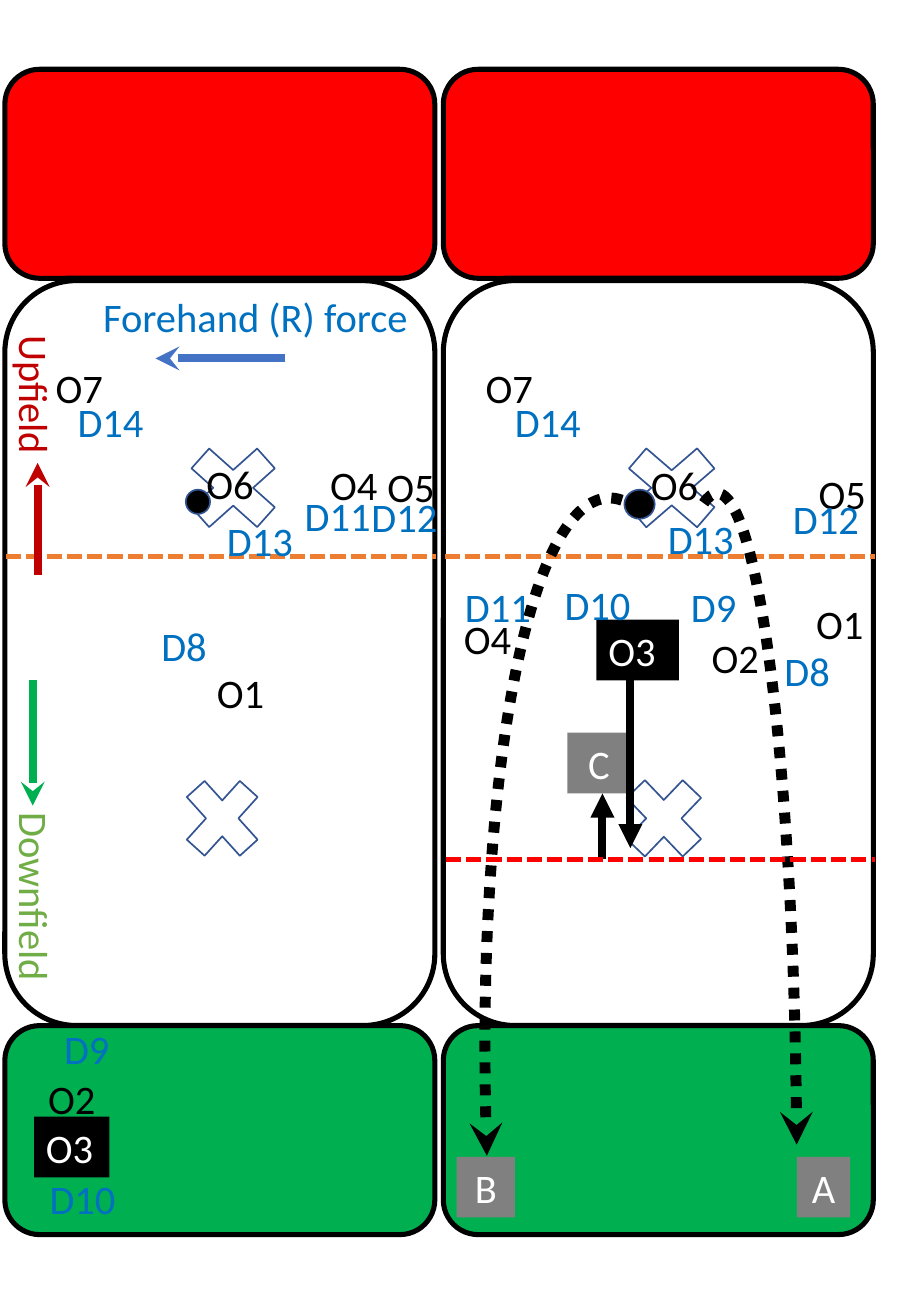
import pptx
import pptx.util
import pptx.dml.color
import pptx.enum.dml
import pptx.enum.shapes
import pptx.enum.text
import pptx.oxml
import pptx.oxml.ns

Inches = pptx.util.Inches
RGBColor = pptx.dml.color.RGBColor
Shapes = pptx.enum.shapes.MSO_SHAPE
Dashes = pptx.enum.dml.MSO_LINE
Align = pptx.enum.text.PP_ALIGN

BLACK = RGBColor(0x00, 0x00, 0x00)
WHITE = RGBColor(0xFF, 0xFF, 0xFF)
GREY = RGBColor(0x80, 0x80, 0x80)
RED = RGBColor(0xFF, 0x00, 0x00)
DARK_RED = RGBColor(0xC0, 0x00, 0x00)
GREEN = RGBColor(0x00, 0xB0, 0x50)
LIGHT_GREEN = RGBColor(0x70, 0xAD, 0x47)
ORANGE = RGBColor(0xED, 0x7D, 0x31)
BLUE = RGBColor(0x44, 0x72, 0xC4)
NAVY = RGBColor(0x32, 0x54, 0x91)
DEFENCE = RGBColor(0x00, 0x70, 0xC0)

PANEL_TOP, PANEL_WIDTH = 0.57, 3.54
LABEL_HEIGHT = 0.5

LEFT_PLAYERS = [
    ("O4", 2.58, 3.17, 0.76), ("O5", 3.05, 3.18, 0.72), ("O6", 1.56, 3.16, 0.65),
    ("O7", 0.32, 2.37, 0.7), ("D8", 1.19, 4.49, 0.78), ("D9", 0.39, 7.81, 1.26),
    ("D10", 0.27, 9.04, 0.92), ("D11", 2.37, 3.42, 0.88), ("D12", 2.92, 3.43, 0.8),
    ("D13", 1.73, 3.63, 0.78), ("D14", 0.5, 2.65, 0.98),
]
RIGHT_PLAYERS = [
    ("O2", 2.11, 4.59, 0.68), ("O1", 2.97, 4.31, 0.61), ("O4", 0.07, 4.43, 0.68),
    ("O5", 2.99, 3.24, 0.68), ("O6", 1.61, 3.17, 0.73), ("O7", 0.25, 2.37, 0.68),
    ("D8", 2.71, 4.7, 0.68), ("D9", 1.94, 4.17, 0.68), ("D10", 0.9, 4.15, 0.9),
    ("D11", 0.08, 4.17, 0.9), ("D12", 2.78, 3.45, 0.9), ("D13", 1.75, 3.61, 0.9),
    ("D14", 0.49, 2.65, 0.9),
]


def add_arrowhead(shape, kind):
    """Put an arrowhead at the end of a line or arc."""
    tail = pptx.oxml.parse_xml(f'<a:tailEnd {pptx.oxml.ns.nsdecls("a")} type="{kind}"/>')
    shape.line._get_or_add_ln().append(tail)


def add_shape(slide, preset, left, top, width, height, fill=None, line=None, weight=1):
    """Add a preset shape with optional fill and outline."""
    shape = slide.shapes.add_shape(
        preset, Inches(left), Inches(top), Inches(width), Inches(height))
    shape.shadow.inherit = False
    if fill is None:
        shape.fill.background()
    else:
        shape.fill.solid()
        shape.fill.fore_color.rgb = fill
    if line is None:
        shape.line.fill.background()
    else:
        shape.line.color.rgb = line
        shape.line.width = pptx.util.Pt(weight)
    return shape


def write(shape, text, color, align=Align.LEFT):
    """Write one line of 24 point text in a shape."""
    shape.text_frame.word_wrap = True
    paragraph = shape.text_frame.paragraphs[0]
    paragraph.alignment = align
    run = paragraph.add_run()
    run.text = text
    run.font.name = "Calibri"
    run.font.size = pptx.util.Pt(24)
    run.font.color.rgb = color


def add_label(slide, text, left, top, width, color, align=Align.LEFT, rotation=0):
    """Add a free-standing label."""
    box = slide.shapes.add_textbox(
        Inches(left), Inches(top), Inches(width), Inches(LABEL_HEIGHT))
    box.rotation = rotation
    write(box, text, color, align)


def add_marker(slide, text, left, top, width, fill, align=Align.CENTER):
    """Add a filled box with white text."""
    marker = add_shape(slide, Shapes.RECTANGLE, left, top, width, LABEL_HEIGHT, fill)
    write(marker, text, WHITE, align)


def add_line(slide, start, end, color, weight, dash=None, arrow=None):
    """Add a straight line, dashed or with an arrowhead at its end."""
    line = slide.shapes.add_connector(
        pptx.enum.shapes.MSO_CONNECTOR.STRAIGHT,
        Inches(start[0]), Inches(start[1]), Inches(end[0]), Inches(end[1]))
    line.line.color.rgb = color
    line.line.width = pptx.util.Pt(weight)
    if dash is not None:
        line.line.dash_style = dash
    if arrow is not None:
        add_arrowhead(line, arrow)
    line._element.spPr.append(
        pptx.oxml.parse_xml(f'<a:effectLst {pptx.oxml.ns.nsdecls("a")}/>'))


def add_throw(slide, left, top, width, height, flipped=False, rotation=0):
    """Add a dotted arc for the flight of a throw."""
    arc = add_shape(slide, Shapes.ARC, left, top, width, height, None, BLACK, 6.5)
    arc.adjustments[0] = 161.31
    arc.adjustments[1] = 202.58
    arc.line.dash_style = Dashes.ROUND_DOT
    add_arrowhead(arc, "stealth")
    arc.rotation = rotation
    if flipped:
        arc._element.spPr.get_or_add_xfrm().set("flipH", "1")


def draw_pitch(slide, left, top, crosses):
    """Draw both end zones, the field, its crosses and the halfway line."""
    zones = [(0, 1.72, RED), (1.74, 6.13, None), (7.87, 1.72, GREEN)]
    for offset, height, fill in zones:
        add_shape(slide, Shapes.ROUNDED_RECTANGLE, left, top + offset,
                  PANEL_WIDTH, height, fill, BLACK, 3)
    for x, y, width in crosses:
        add_shape(slide, Shapes.MATH_MULTIPLY, left + x, top + y, width, 0.93, None, NAVY)
    add_line(slide, (left + 0.01, top + 4.01), (left + 3.55, top + 4.01),
             ORANGE, 3, Dashes.SQUARE_DOT)


def draw_players(slide, left, top, players):
    """Place the offence in black and the defence in blue."""
    for name, x, y, width in players:
        color = BLACK if name.startswith("O") else DEFENCE
        add_label(slide, name, left + x, top + y, width, color)


def draw_left_panel(slide, left, top):
    """Draw the starting position with its direction arrows."""
    draw_pitch(slide, left, top, [(1.37, 5.7, 0.84), (1.36, 2.98, 1.04)])
    add_label(slide, "O2", left + 0.24, top + 8.22, 0.62, BLACK, Align.CENTER)
    add_label(slide, "O1", left + 1.57, top + 4.88, 0.74, BLACK, Align.CENTER)
    add_marker(slide, "O3", left + 0.24, top + 8.62, 0.62, BLACK, Align.LEFT)
    draw_players(slide, left, top, LEFT_PLAYERS)
    add_shape(slide, Shapes.OVAL, left + 1.49, top + 3.46, 0.2, 0.2, BLACK, NAVY)
    add_label(slide, "Forehand (R) force", left + 0.71, top + 1.78, 3.68, DEFENCE)
    add_label(slide, "Upfield", left - 0.42, top + 2.51, 1.34, DARK_RED, rotation=90)
    add_label(slide, "Downfield", left - 0.61, top + 6.63, 1.72, LIGHT_GREEN, rotation=90)
    arrows = [((2.31, 2.38), (1.24, 2.38), BLUE),
              ((0.23, 5.03), (0.23, 6.06), GREEN),
              ((0.27, 4.16), (0.27, 3.24), DARK_RED)]
    for start, end, color in arrows:
        add_line(slide, (left + start[0], top + start[1]),
                 (left + end[0], top + end[1]), color, 4.75, arrow="stealth")


def draw_right_panel(slide, left, top):
    """Draw the play with its throws, runs and targets."""
    add_marker(slide, "C", left + 1.02, top + 5.46, 0.52, GREY)
    draw_pitch(slide, left, top, [(1.37, 5.7, 0.89), (1.34, 2.98, 1.08)])
    add_throw(slide, left + 1.6, top + 3.49, 1.31, 11.26)
    add_marker(slide, "O3", left + 1.26, top + 4.53, 0.68, BLACK, Align.LEFT)
    draw_players(slide, left, top, RIGHT_PLAYERS)
    add_shape(slide, Shapes.OVAL, left + 1.49, top + 3.46, 0.25, 0.24, BLACK, NAVY)
    for x, start, end in [(1.54, 4.96, 6.41), (1.31, 6.5, 5.96)]:
        add_line(slide, (left + x, top + start), (left + x, top + end),
                 BLACK, 4.75, arrow="triangle")
    add_throw(slide, left + 0.38, top + 3.52, 2.58, 11.76, True, 356.9)
    add_line(slide, (left + 0.02, top + 6.5), (left + 3.55, top + 6.5),
             RED, 3, Dashes.SQUARE_DOT)
    add_marker(slide, "A", left + 2.91, top + 8.95, 0.44, GREY)
    add_marker(slide, "B", left + 0.11, top + 8.95, 0.48, GREY)


def main():
    """Build the slide and save it."""
    presentation = pptx.Presentation()
    presentation.slide_width = Inches(7.5)
    presentation.slide_height = Inches(10.83)
    slide = presentation.slides.add_slide(presentation.slide_layouts[6])
    draw_right_panel(slide, 3.65, PANEL_TOP)
    draw_left_panel(slide, 0.04, PANEL_TOP)
    presentation.save("out.pptx")


if __name__ == "__main__":
    main()
